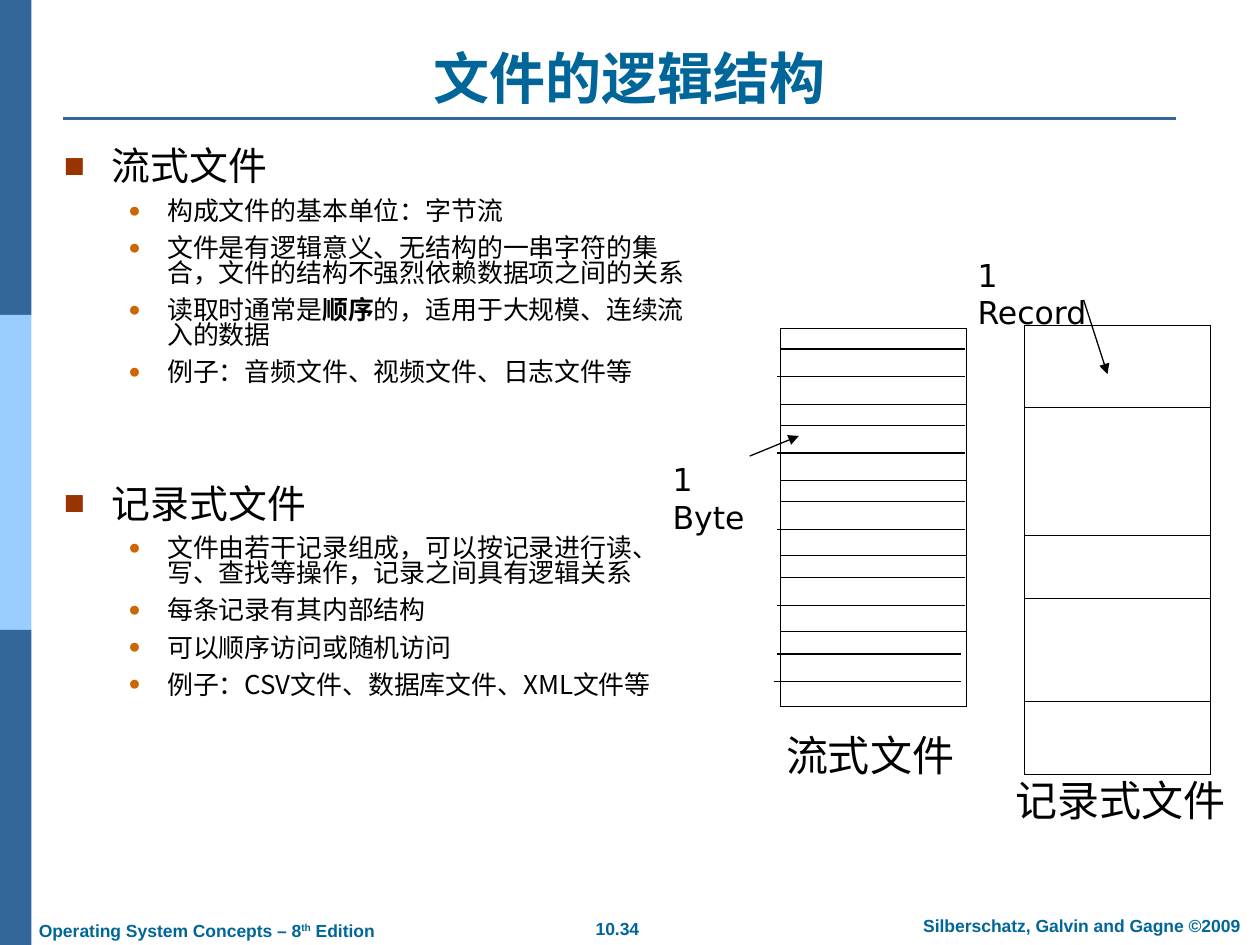
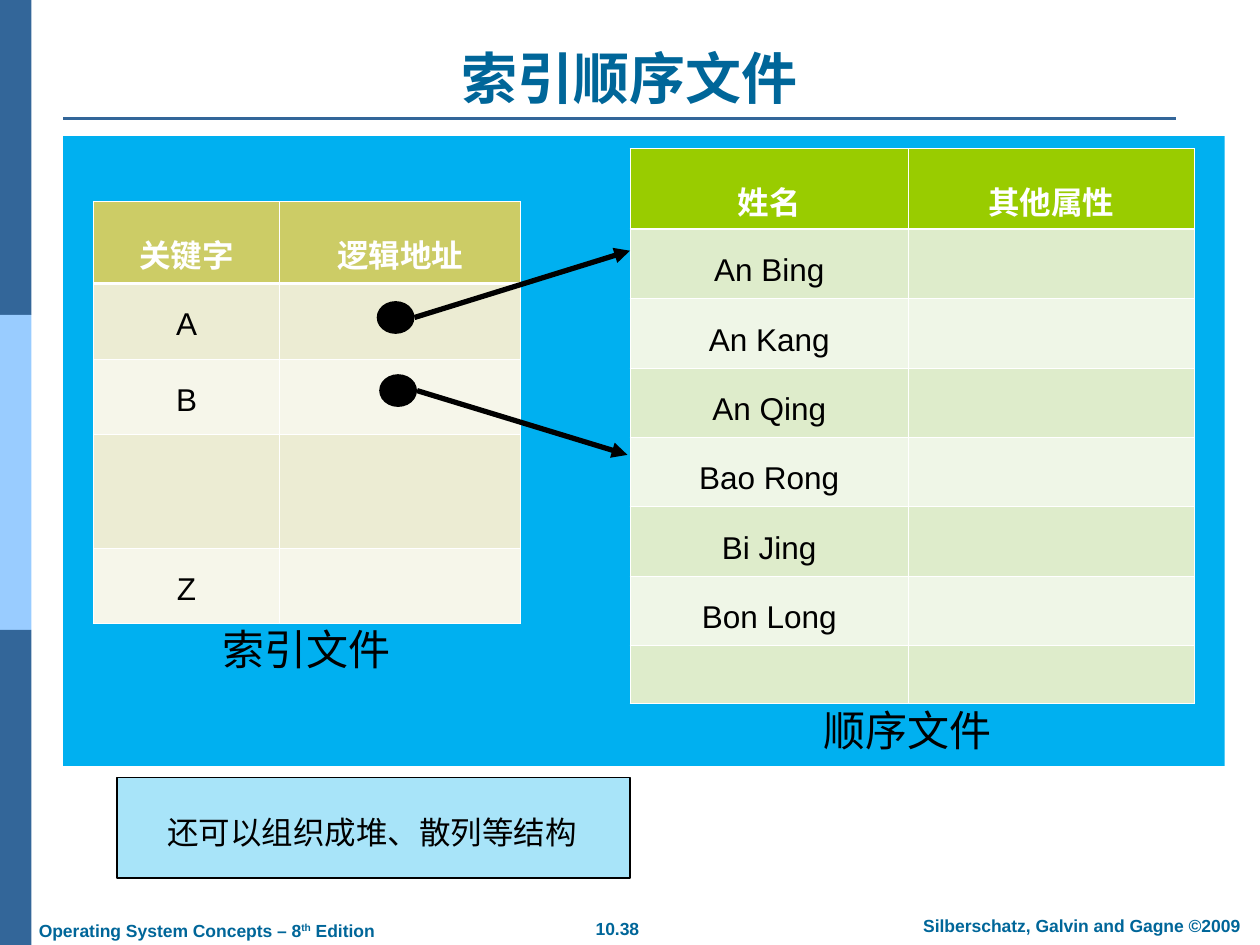
from dataclasses import dataclass
from typing import NamedTuple, Optional

from lxml import etree
from pptx import Presentation
from pptx import util as u
from pptx.dml import color
from pptx.enum import shapes, text
from pptx.oxml import ns

WIDTH, HEIGHT = u.Inches(10), u.Inches(7.5)
COLUMN, ROW = WIDTH / 10, HEIGHT / 7.5


@dataclass(frozen=True)
class Theme:
    ink: str = "000000"
    white: str = "FFFFFF"
    heading: str = "006699"
    band: str = "336699"
    light_band: str = "99CCFF"
    panel: str = "00B0F0"
    topic_mark: str = "993300"
    detail_mark: str = "CC6600"
    latin: str = "Arial"
    plain: str = "DejaVu Sans"
    chinese: str = "Noto Sans CJK SC"
    title_size: float = 32
    caption_size: float = 24
    topic_size: float = 22.2
    label_size: float = 18
    detail_size: float = 14.8
    footer_size: float = 10
    thin: float = 0.75
    rule: float = 1.5
    thick: float = 3
    grid: float = 0.45


THEME = Theme()


class Box(NamedTuple):
    col: float
    row: float
    cols: float
    rows: float


class Stroke(NamedTuple):
    start: tuple[float, float]
    end: tuple[float, float]
    width: float = THEME.thin
    arrow: bool = False
    ink: str = THEME.ink


class Caption(NamedTuple):
    words: str
    box: Box
    size: float = THEME.caption_size
    font: str = THEME.chinese


class BulletStyle(NamedTuple):
    mark: str
    mark_color: str
    mark_share: int
    size: float
    indent: float
    hanging: float
    before: float


class Point(NamedTuple):
    style: BulletStyle
    pieces: tuple[str, ...]
    before: Optional[float] = None


class Grid(NamedTuple):
    col: float
    row: float
    cols: tuple[float, ...]
    rows: tuple[float, ...]
    cells: tuple[tuple[str, ...], ...] = ()
    fills: tuple[str, ...] = ()
    border: str = THEME.ink


TOPIC = BulletStyle("■", THEME.topic_mark, 90, THEME.topic_size, 0.38, 0.38, 10.5)
DETAIL = BulletStyle("●", THEME.detail_mark, 80, THEME.detail_size, 0.82, 0.31, 7)


def rgb(value: str) -> color.RGBColor:
    return color.RGBColor.from_string(value)


def x(cols: float) -> int:
    return round(cols * COLUMN)


def y(rows: float) -> int:
    return round(rows * ROW)


def place(box: Box) -> tuple[int, int, int, int]:
    return x(box.col), y(box.row), x(box.cols), y(box.rows)


def child(parent, tag: str, **attributes: str):
    return etree.SubElement(parent, ns.qn(tag), attributes)


def put_text(paragraph, words: str, *, size: float, ink: str = THEME.ink, font: str = THEME.chinese,
             bold: bool = False, align=None, raised: bool = False) -> None:
    if align is not None:
        paragraph.alignment = align
    run = paragraph.add_run()
    run.text = words
    run.font.size, run.font.name, run.font.bold = u.Pt(size), font, bold
    run.font.color.rgb = rgb(ink)
    properties = run.font._element
    child(properties, "a:ea", typeface=THEME.chinese)
    if raised:
        properties.set("baseline", "30000")


def add_frame(slide, box: Box):
    frame = slide.shapes.add_textbox(*place(box)).text_frame
    frame.word_wrap = True
    return frame


def add_caption(slide, caption: Caption) -> None:
    put_text(add_frame(slide, caption.box).paragraphs[0], caption.words, size=caption.size, font=caption.font)


def add_block(slide, box: Box, fill: str, *, kind=shapes.MSO_SHAPE.RECTANGLE,
              outline: Optional[str] = None, opacity: int = 100) -> None:
    block = slide.shapes.add_shape(kind, *place(box))
    block.shadow.inherit = False
    block.fill.solid()
    block.fill.fore_color.rgb = rgb(fill)
    if opacity < 100:
        tint = block._element.spPr.find(ns.qn("a:solidFill"))[0]
        child(tint, "a:alpha", val=str(opacity * 1000))
    if outline:
        block.line.color.rgb = rgb(outline)
        block.line.width = u.Pt(THEME.thin)
    else:
        block.line.fill.background()


def add_stroke(slide, stroke: Stroke) -> None:
    (x1, y1), (x2, y2) = stroke.start, stroke.end
    line = slide.shapes.add_connector(shapes.MSO_CONNECTOR.STRAIGHT, x(x1), y(y1), x(x2), y(y2))
    line.line.color.rgb = rgb(stroke.ink)
    line.line.width = u.Pt(stroke.width)
    if stroke.arrow:
        child(line.line._get_or_add_ln(), "a:tailEnd", type="triangle")
    child(line._element.spPr, "a:effectLst")


def set_borders(cell, ink: str, bottom: float, top: float) -> None:
    properties = cell._tc.get_or_add_tcPr()
    widths = {"a:lnL": THEME.grid, "a:lnR": THEME.grid, "a:lnT": top, "a:lnB": bottom}
    for position, (tag, width) in enumerate(widths.items()):
        edge = etree.Element(ns.qn(tag), w=str(u.Pt(width)))
        child(child(edge, "a:solidFill"), "a:srgbClr", val=ink)
        properties.insert(position, edge)


def add_grid(slide, grid: Grid) -> None:
    box = Box(grid.col, grid.row, sum(grid.cols), sum(grid.rows))
    table = slide.shapes.add_table(len(grid.rows), len(grid.cols), *place(box)).table
    table.first_row = table.horz_banding = False
    for column, cols in zip(table.columns, grid.cols):
        column.width = x(cols)
    for index, rows in enumerate(grid.rows):
        table.rows[index].height = y(rows)
        words = grid.cells[index] if index < len(grid.cells) else ()
        header = bool(grid.cells) and index == 0
        below_header = bool(grid.cells) and index == 1
        for number, cell in enumerate(table.rows[index].cells):
            if grid.fills:
                cell.fill.solid()
                cell.fill.fore_color.rgb = rgb(grid.fills[0 if header else 2 - index % 2])
            else:
                cell.fill.background()
            set_borders(cell, grid.border, THEME.rule if header else THEME.grid,
                        THEME.rule if below_header else THEME.grid)
            if number < len(words) and words[number]:
                paragraph = cell.text_frame.paragraphs[0]
                paragraph.line_spacing = 1.5
                put_text(paragraph, words[number], size=THEME.label_size, font=THEME.latin, bold=header,
                         ink=THEME.white if header else THEME.ink, align=text.PP_ALIGN.CENTER)


def add_points(slide, box: Box, points: list[Point]) -> None:
    frame = add_frame(slide, box)
    for index, point in enumerate(points):
        style = point.style
        paragraph = frame.add_paragraph() if index else frame.paragraphs[0]
        properties = paragraph._p.get_or_add_pPr()
        properties.set("marL", str(x(style.indent)))
        properties.set("indent", str(-x(style.hanging)))
        properties.set("hangingPunct", "0")
        child(child(properties, "a:buClr"), "a:srgbClr", val=style.mark_color)
        child(properties, "a:buSzPct", val=str(style.mark_share * 1000))
        child(properties, "a:buFont", typeface=THEME.latin)
        child(properties, "a:buChar", char=style.mark)
        paragraph.level = int(style is DETAIL)
        paragraph.line_spacing = 0.8
        if index:
            paragraph.space_before = u.Pt(point.before or style.before)
        for number, piece in enumerate(point.pieces):
            put_text(paragraph, piece, size=style.size, bold=number % 2 == 1)


def start_slide(deck, title: str, page: str):
    slide = deck.slides.add_slide(deck.slide_layouts[5])
    for index, fill in enumerate((THEME.band, THEME.light_band, THEME.band)):
        add_block(slide, Box(0, 2.5 * index, 0.25, 2.5), fill)
    add_stroke(slide, Stroke((0.5, 0.94), (9.33, 0.94), THEME.rule, ink=THEME.band))

    heading = slide.shapes.title
    heading.left, heading.top, heading.width, heading.height = place(Box(0.5, 0.3, 9, 0.63))
    frame = heading.text_frame
    frame.auto_size = text.MSO_AUTO_SIZE.NONE
    frame.vertical_anchor = text.MSO_ANCHOR.BOTTOM
    put_text(frame.paragraphs[0], title, size=THEME.title_size, ink=THEME.heading, bold=True,
             align=text.PP_ALIGN.CENTER)

    center = text.PP_ALIGN.CENTER
    footers = (
        (Box(4.37, 7.24, 1.06, 0.27), center, (page,)),
        (Box(7.1, 7.21, 2.97, 0.27), center, ("Silberschatz, Galvin and Gagne ©2009",)),
        (Box(0.21, 7.25, 3, 0.27), None, ("Operating System Concepts – 8", "th", " Edition")),
    )
    for box, align, pieces in footers:
        paragraph = add_frame(slide, box).paragraphs[0]
        for number, piece in enumerate(pieces):
            put_text(paragraph, piece, size=THEME.footer_size, ink=THEME.heading, font=THEME.latin,
                     bold=True, align=align, raised=number == 1)
    return slide


def build_logical_structure(deck) -> None:
    slide = start_slide(deck, "文件的逻辑结构", "10.34")
    add_grid(slide, Grid(8.13, 2.58, (1.48,), (0.65, 1.02, 0.5, 0.82, 0.58)))
    add_grid(slide, Grid(6.19, 2.61, (1.48,), (0.6,) * 5))
    for pair in range(5):
        shift = -0.03 if pair == 4 else 0
        for left, top in ((6.2, 2.77), (6.17, 2.99)):
            level = top + 0.605 * pair
            add_stroke(slide, Stroke((left + shift, level), (7.66 + shift, level)))
    for pointer in (Stroke((5.95, 3.62), (6.34, 3.46), arrow=True),
                    Stroke((8.6, 2.38), (8.79, 2.97), arrow=True)):
        add_stroke(slide, pointer)
    for caption in (
        Caption("流式文件", Box(6.14, 5.74, 2, 0.5)),
        Caption("记录式文件", Box(7.96, 6.1, 2, 0.5)),
        Caption("1 Byte", Box(5.24, 3.6, 0.92, 0.4), THEME.label_size, THEME.plain),
        Caption("1 Record", Box(7.66, 1.98, 1.22, 0.4), THEME.label_size, THEME.plain),
    ):
        add_caption(slide, caption)
    add_points(slide, Box(0.41, 1.15, 5.27, 5.16), [
        Point(TOPIC, ("流式文件",)),
        Point(DETAIL, ("构成文件的基本单位：字节流",)),
        Point(DETAIL, ("文件是有逻辑意义、无结构的一串字符的集合，文件的结构不强烈依赖数据项之间的关系",)),
        Point(DETAIL, ("读取时通常是", "顺序", "的，适用于大规模、连续流入的数据")),
        Point(DETAIL, ("例子：音频文件、视频文件、日志文件等",)),
        Point(TOPIC, ("记录式文件",), before=58.3),
        Point(DETAIL, ("文件由若干记录组成，可以按记录进行读、写、查找等操作，记录之间具有逻辑关系",)),
        Point(DETAIL, ("每条记录有其内部结构",)),
        Point(DETAIL, ("可以顺序访问或随机访问",)),
        Point(DETAIL, ("例子：CSV文件、数据库文件、XML文件等",)),
    ])


def build_indexed_sequential(deck) -> None:
    slide = start_slide(deck, "索引顺序文件", "10.38")
    add_block(slide, Box(0.5, 1.08, 9.22, 5), THEME.panel)
    add_grid(slide, Grid(
        0.74, 1.6, (1.48, 1.91), (0.65, 0.6, 0.6, 0.9, 0.6),
        (("关键字", "逻辑地址"), ("A",), ("B",), (), ("Z",)),
        ("CCCC66", "ECECD3", "F6F6EA"), THEME.white))
    names = ("An Bing", "An Kang", "An Qing", "Bao Rong", "Bi Jing", "Bon Long")
    add_grid(slide, Grid(
        5, 1.18, (2.21, 2.27), (0.64,) + (0.55,) * 6 + (0.46,),
        (("姓名", "其他属性"), *((name,) for name in names)),
        ("99CC00", "DEECCB", "EFF6E7"), THEME.white))
    add_caption(slide, Caption("索引文件", Box(1.67, 4.9, 2, 0.5), font=THEME.plain))
    add_caption(slide, Caption("顺序文件", Box(6.44, 5.54, 2, 0.5), font=THEME.plain))
    for dot, target in ((Box(2.99, 2.39, 0.3, 0.26), (5, 1.99)), (Box(3.01, 2.97, 0.3, 0.26), (4.98, 3.61))):
        add_block(slide, dot, THEME.ink, kind=shapes.MSO_SHAPE.OVAL)
        origin = (dot.col + dot.cols, dot.row + dot.rows / 2)
        add_stroke(slide, Stroke(origin, target, THEME.thick, arrow=True))
    add_block(slide, Box(0.93, 6.17, 4.07, 0.8), THEME.panel, outline=THEME.ink, opacity=34)
    add_caption(slide, Caption("还可以组织成堆、散列等结构", Box(1.23, 6.4, 3.6, 0.4), THEME.label_size))


def main() -> None:
    deck = Presentation()
    deck.slide_width, deck.slide_height = WIDTH, HEIGHT
    build_logical_structure(deck)
    build_indexed_sequential(deck)
    deck.save("out.pptx")


if __name__ == "__main__":
    main()
